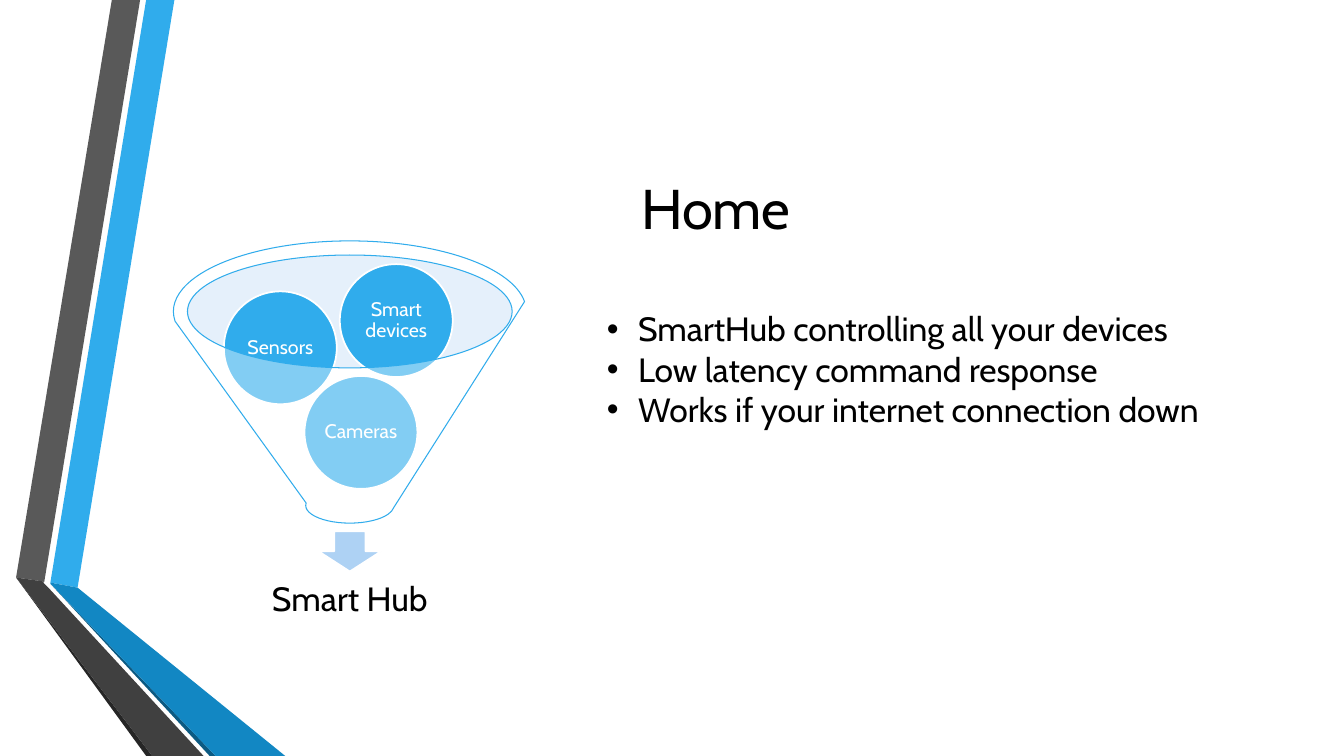
from lxml import etree
from pptx import Presentation
from pptx.dml.color import RGBColor
from pptx.enum.shapes import MSO_SHAPE
from pptx.enum.text import MSO_ANCHOR, PP_ALIGN
from pptx.oxml.ns import qn
from pptx.util import Pt

PX = 9144  # one px is a hundredth of an inch
ELLIPSE, ARROW, FUNNEL = MSO_SHAPE.OVAL, MSO_SHAPE.DOWN_ARROW, MSO_SHAPE.FUNNEL
MIDDLE, TOP = MSO_ANCHOR.MIDDLE, MSO_ANCHOR.TOP
CENTER, LEFT = PP_ALIGN.CENTER, PP_ALIGN.LEFT

BLACK = RGBColor(0x00, 0x00, 0x00)
WHITE = RGBColor(0xFF, 0xFF, 0xFF)
BLUE = RGBColor(0x30, 0xAC, 0xEC)
DEEP_BLUE = RGBColor(0x12, 0x87, 0xC3)
NAVY = RGBColor(0x0C, 0x5A, 0x82)
PALE_BLUE = RGBColor(0xBE, 0xDB, 0xF6)
ARROW_BLUE = RGBColor(0xAE, 0xD2, 0xF4)
GREY = RGBColor(0x59, 0x59, 0x59)
DARK_GREY = RGBColor(0x40, 0x40, 0x40)
SHADOW_GREY = RGBColor(0x26, 0x26, 0x26)

RIBBONS = [
    (BLUE, [(50, 578), (77, 583), (173, 0), (145, 0)]),
    (GREY, [(139, 0), (111, 0), (16, 573), (44, 577)]),
    (SHADOW_GREY, [(16, 573), (145, 750), (151, 750)]),
    (NAVY, [(50, 579), (208, 750), (214, 750)]),
    (DEEP_BLUE, [(50, 578), (50, 579), (214, 750), (283, 750), (77, 583)]),
    (DARK_GREY, [(202, 750), (48, 583), (43, 578), (44, 577), (16, 573), (151, 750)]),
]
BALL_SIZE = 112
BALLS = [("Cameras", 302, 373), ("Sensors", 222, 289), ("Smart devices", 337, 262)]
BENEFITS = [
    "SmartHub controlling all your devices",
    "Low latency command response",
    "Works if your internet connection down",
]


class SlideBuilder:
    font_name = "Cabin"

    def __init__(self, page):
        self.page = page

    def paint(self, shape, fill, line=None, width=0, alpha=None):
        shape.shadow.inherit = False
        shape.fill.solid()
        shape.fill.fore_color.rgb = fill
        if alpha is not None:
            color = shape._element.spPr.find(qn("a:solidFill"))[0]
            etree.SubElement(color, qn("a:alpha"), val=str(alpha * 1000))
        if line is None:
            shape.line.fill.background()
        else:
            shape.line.color.rgb = line
            shape.line.width = Pt(width)

    def outline(self, points, fill):
        builder = self.page.shapes.build_freeform(*points[0], scale=PX)
        builder.add_line_segments(points[1:], close=True)
        self.paint(builder.convert_to_shape(), fill)

    def shape(self, kind, area, fill, **style):
        shape = self.page.shapes.add_shape(kind, *(PX * value for value in area))
        self.paint(shape, fill, **style)
        return shape

    def label(self, box, lines, size, color=BLACK, align=CENTER, anchor=MIDDLE,
              inset=(10, 5), spacing=None, bullet_indent=0):
        frame = box.text_frame
        across, down = (PX * value for value in inset)
        frame_format = {
            "word_wrap": True, "vertical_anchor": anchor,
            "margin_left": across, "margin_right": across,
            "margin_top": down, "margin_bottom": down,
        }
        for name, value in frame_format.items():
            setattr(frame, name, value)
        frame.text = "\n".join(lines)
        font_format = {"name": self.font_name, "size": Pt(size)}
        for para in frame.paragraphs:
            para.alignment = align
            para.line_spacing = spacing
            if bullet_indent:
                properties = para._p.get_or_add_pPr()
                properties.set("marL", str(bullet_indent * PX))
                properties.set("indent", str(-bullet_indent * PX))
                etree.SubElement(properties, qn("a:buFont"), typeface="Arial")
                etree.SubElement(properties, qn("a:buChar"), char="•")
            for span in para.runs:
                for name, value in font_format.items():
                    setattr(span.font, name, value)
                span.font.color.rgb = color

    def text(self, area, lines, size, **style):
        box = self.page.shapes.add_textbox(*(PX * value for value in area))
        self.label(box, lines, size, **style)


def main():
    deck = Presentation()
    deck.slide_width, deck.slide_height = 1333 * PX, 750 * PX
    slide = SlideBuilder(deck.slides.add_slide(deck.slide_layouts[6]))

    # Folded ribbons on the left edge
    for fill, points in RIBBONS:
        slide.outline(points, fill)

    # Title
    slide.text((162, 109, 1096, 192), ["Home"], 40)

    # Funnel with its contents and result
    slide.shape(ELLIPSE, (185, 253, 323, 112), PALE_BLUE, alpha=40)
    slide.shape(ARROW, (316, 527, 62, 40), ARROW_BLUE, line=WHITE, width=1.25)
    slide.text((197, 558, 300, 75), ["Smart Hub"], 24, inset=(19, 19), spacing=0.9)
    for name, left, top in BALLS:
        ball = slide.shape(ELLIPSE, (left, top, BALL_SIZE, BALL_SIZE), BLUE,
                           line=WHITE, width=1.25)
        slide.label(ball, [name], 14, color=WHITE, inset=(2, 2), spacing=0.9)
    slide.shape(FUNNEL, (172, 239, 350, 280), WHITE, line=BLUE, width=0.75, alpha=40)

    # Benefits
    slide.text((592, 301, 629, 131), BENEFITS, 24, align=LEFT, anchor=TOP,
               bullet_indent=31)

    deck.save("out.pptx")


if __name__ == "__main__":
    main()
